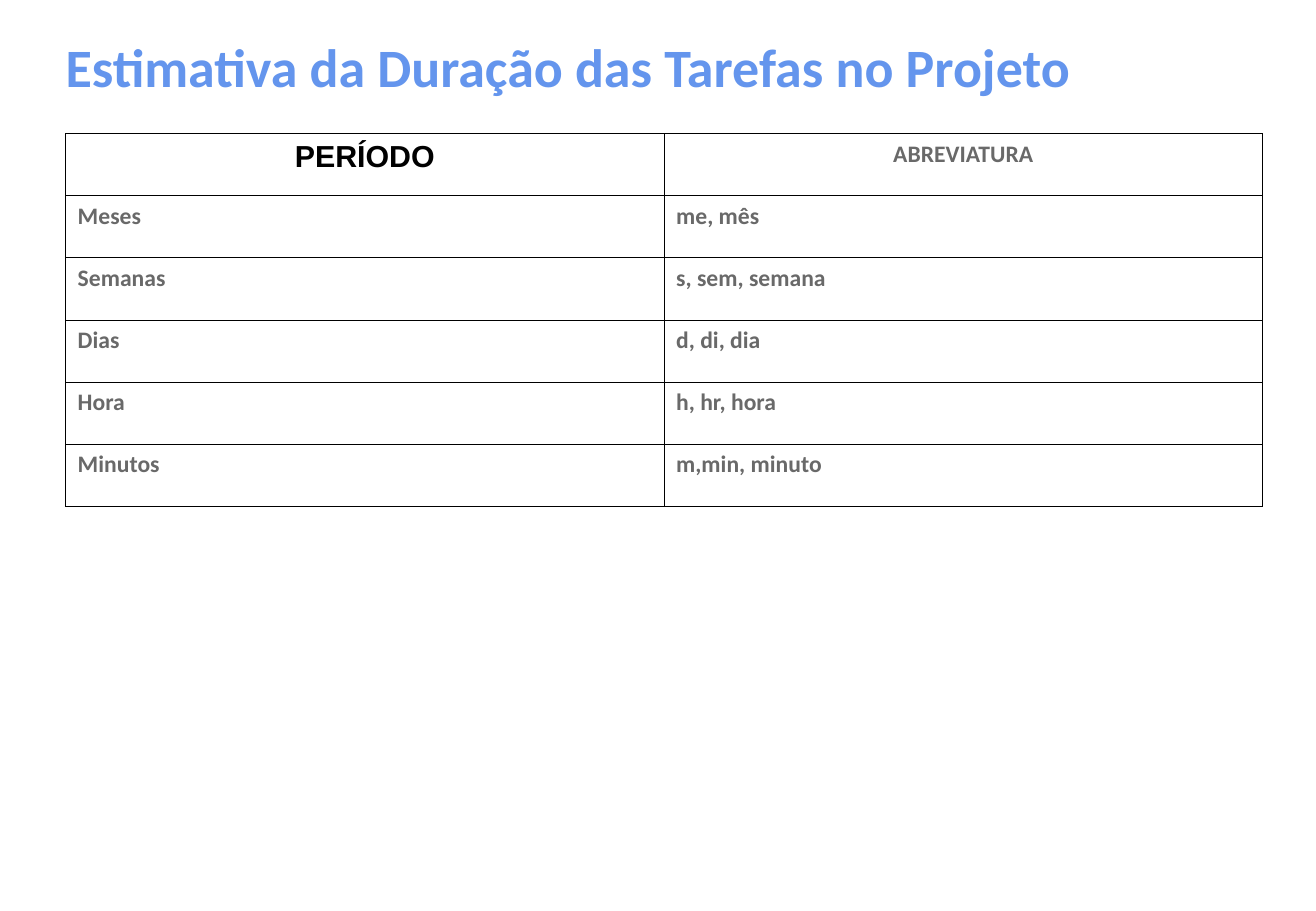
from pptx import Presentation
from pptx.dml.color import RGBColor
from pptx.enum.text import MSO_ANCHOR, PP_ALIGN
from pptx.oxml import parse_xml
from pptx.oxml.ns import nsdecls
from pptx.util import Inches, Pt

BLUE = RGBColor(0x64, 0x95, 0xED)
GRAY = RGBColor(0x69, 0x69, 0x69)
BLACK = RGBColor(0x00, 0x00, 0x00)
WHITE = RGBColor(0xFF, 0xFF, 0xFF)
LEFT, CENTER = PP_ALIGN.LEFT, PP_ALIGN.CENTER
MIDDLE = MSO_ANCHOR.MIDDLE

ROWS = [
    ("PERÍODO", "ABREVIATURA"),
    ("Meses", "me, mês"),
    ("Semanas", "s, sem, semana"),
    ("Dias", "d, di, dia"),
    ("Hora", "h, hr, hora"),
    ("Minutos", "m,min, minuto"),
]


class SlideBuilder:
    font = "Calibri"
    border = Pt(0.57)

    def __init__(self, prs):
        self.s = prs.slides.add_slide(prs.slide_layouts[6])
        self.s.background.fill.solid()
        self.s.background.fill.fore_color.rgb = WHITE

    def set_text(self, tf, text, size, color, font=None, align=LEFT):
        tf.text = text
        p = tf.paragraphs[0]
        p.alignment = align
        r = p.runs[0]
        r.font.name = font or self.font
        r.font.size = Pt(size)
        r.font.bold = True
        r.font.color.rgb = color

    def title(self, text, x, y, w, h):
        sp = self.s.shapes.add_textbox(Inches(x), Inches(y), Inches(w), Inches(h))
        tf = sp.text_frame
        tf.word_wrap = True
        tf.vertical_anchor = MIDDLE
        tf.margin_left = tf.margin_right = tf.margin_top = tf.margin_bottom = 0
        self.set_text(tf, text, 32, BLUE)

    def outline(self, cell):
        tc_pr = cell._tc.get_or_add_tcPr()
        for i, side in enumerate("LRTB"):
            tc_pr.insert(i, parse_xml(
                f'<a:ln{side} {nsdecls("a")} w="{self.border}"><a:solidFill>'
                f'<a:srgbClr val="{BLACK}"/></a:solidFill></a:ln{side}>'))

    def table(self, rows, x, y, w, h):
        table = self.s.shapes.add_table(
            len(rows), len(rows[0]), Inches(x), Inches(y), Inches(w), Inches(h)).table
        table.first_row = table.horz_banding = False
        for i, row in enumerate(rows):
            for j, text in enumerate(row):
                cell = table.cell(i, j)
                cell.fill.background()
                self.outline(cell)
                if (i, j) == (0, 0):
                    size, color, font = 18, BLACK, "Arial"
                else:
                    size, color, font = 14, GRAY, self.font
                self.set_text(cell.text_frame, text, size, color, font,
                              LEFT if i else CENTER)


def main():
    prs = Presentation()
    prs.slide_width, prs.slide_height = Inches(10.84), Inches(7.5)
    slide = SlideBuilder(prs)

    # Heading
    slide.title("Estimativa da Duração das Tarefas no Projeto", 0.54, 0.01, 9.75, 1.07)

    # Periods and their abbreviations
    slide.table(ROWS, 0.54, 1.1, 9.86, 3.07)

    prs.save("out.pptx")


if __name__ == "__main__":
    main()
